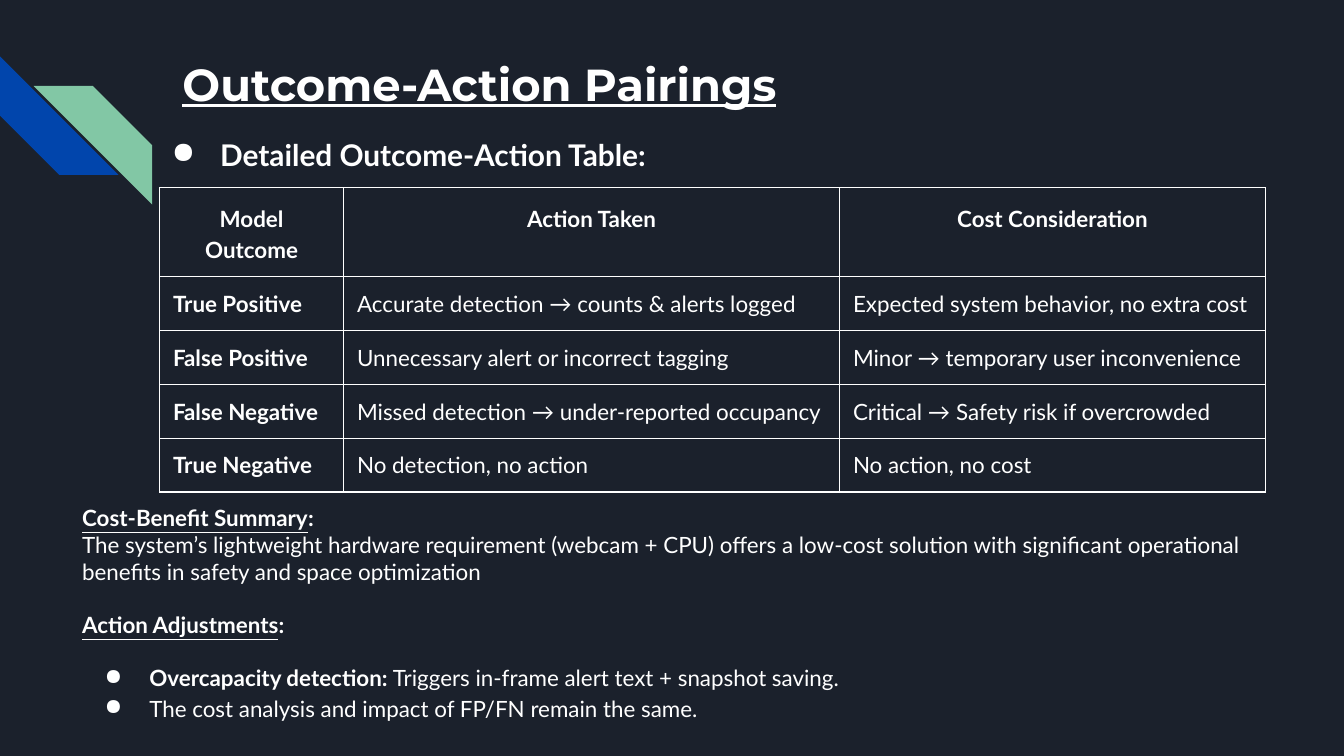
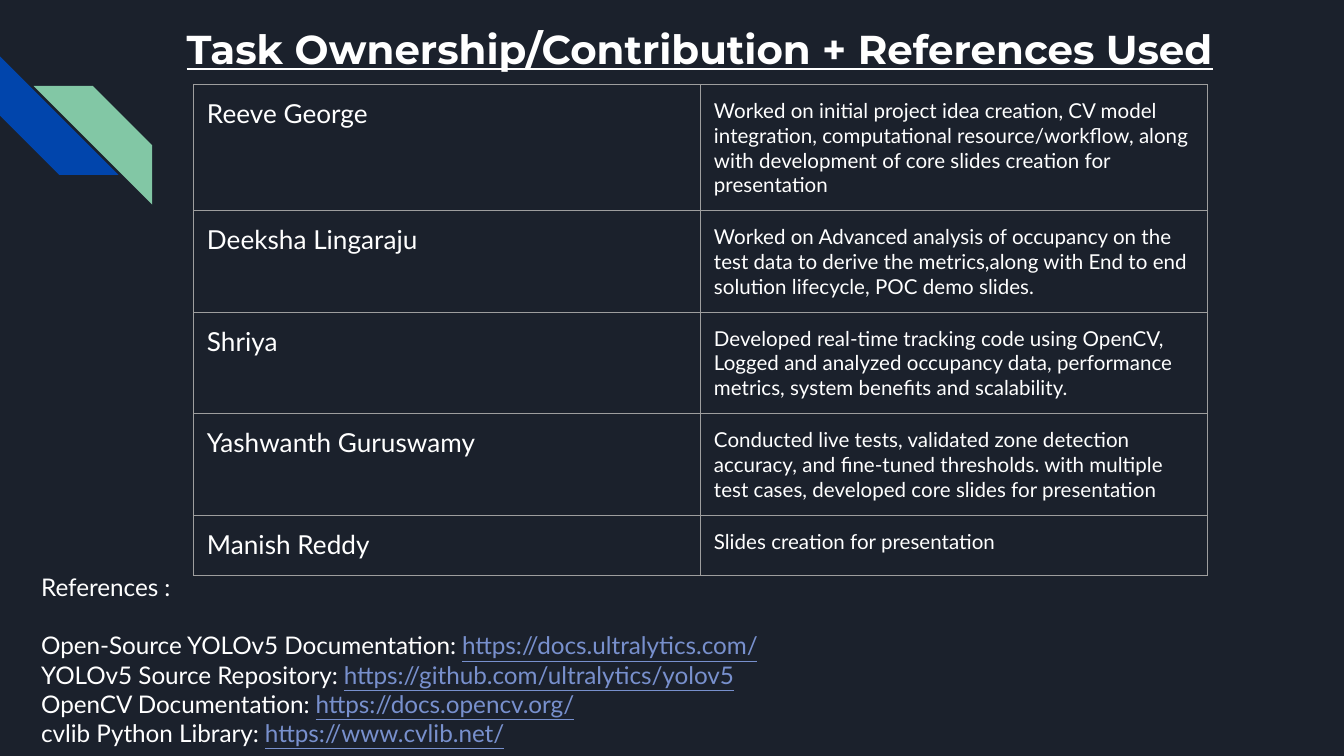
from dataclasses import dataclass

from lxml import etree
from pptx import Presentation
from pptx.dml.color import RGBColor
from pptx.enum.shapes import MSO_SHAPE
from pptx.enum.text import MSO_ANCHOR, PP_ALIGN
from pptx.oxml.ns import qn
from pptx.util import Pt

STRIPE = MSO_SHAPE.DIAGONAL_STRIPE
TOP, MIDDLE = MSO_ANCHOR.TOP, MSO_ANCHOR.MIDDLE
CENTER = PP_ALIGN.CENTER


@dataclass(frozen=True)
class Theme:
    back: str = "1B212C"
    text: str = "FFFFFF"
    blue: str = "0145AC"
    green: str = "82C7A5"
    grid: str = "9E9E9E"
    link: str = "7890CD"
    head: str = "Montserrat"
    body: str = "Lato"
    title: float = 24
    long_title: float = 21.6
    lead: float = 16
    name: float = 14
    refs: float = 13
    base: float = 12
    small: float = 11
    pad: float = 7.2
    loose: float = 1.15


T = Theme()

OUTCOMES = [
    ("Model Outcome", "Action Taken", "Cost Consideration"),
    ("True Positive", "Accurate detection → counts & alerts logged",
     "Expected system behavior, no extra cost"),
    ("False Positive", "Unnecessary alert or incorrect tagging",
     "Minor → temporary user inconvenience"),
    ("False Negative", "Missed detection → under-reported occupancy",
     "Critical → Safety risk if overcrowded"),
    ("True Negative", "No detection, no action", "No action, no cost"),
]

TASKS = [
    ("Reeve George",
     "Worked on initial project idea creation, CV model integration, "
     "computational resource/workflow, along with development of core slides "
     "creation for presentation"),
    ("Deeksha Lingaraju",
     "Worked on Advanced analysis of occupancy on the test data to derive the "
     "metrics,along with End to end solution lifecycle, POC demo slides."),
    ("Shriya",
     "Developed real-time tracking code using OpenCV, Logged and analyzed "
     "occupancy data, performance metrics, system benefits and scalability."),
    ("Yashwanth Guruswamy",
     "Conducted live tests, validated zone detection accuracy, and fine-tuned "
     "thresholds. with multiple test cases, developed core slides for "
     "presentation"),
    ("Manish Reddy", "Slides creation for presentation"),
]

LINKS = [
    ("Open-Source YOLOv5 Documentation: ", "https://docs.ultralytics.com/"),
    ("YOLOv5 Source Repository: ", "https://github.com/ultralytics/yolov5"),
    ("OpenCV Documentation: ", "https://docs.opencv.org/"),
    ("cvlib Python Library: ", "https://www.cvlib.net/"),
]


def color(code):
    return RGBColor.from_string(code)


def add_run(para, text, size, bold=False, line=False, tint=T.text, face=T.body):
    run = para.add_run()
    run.text = text
    font = run.font
    font.name, font.size = face, Pt(size)
    font.bold, font.underline = bold, line
    font.color.rgb = color(tint)


def add_box(slide, left, top, width, height, anchor=TOP):
    frame = slide.shapes.add_textbox(
        Pt(left), Pt(top), Pt(width), Pt(height)).text_frame
    frame.word_wrap = True
    frame.vertical_anchor = anchor
    frame.margin_left = frame.margin_right = Pt(T.pad)
    frame.margin_top = frame.margin_bottom = Pt(T.pad)
    return frame


def next_para(frame, before=0, spacing=None):
    """Return the unused first paragraph of the frame, or a new one."""
    para = frame.paragraphs[0]
    if para.runs:
        para = frame.add_paragraph()
    if before:
        para.space_before = Pt(before)
    if spacing:
        para.line_spacing = spacing
    return para


def add_bullet(para, hang):
    props = para._p.get_or_add_pPr()
    props.set("marL", str(Pt(36)))
    props.set("indent", str(-Pt(hang)))
    paint = etree.SubElement(props, qn("a:buClr"))
    etree.SubElement(paint, qn("a:srgbClr")).set("val", T.text)
    etree.SubElement(props, qn("a:buChar")).set("char", "●")


def add_stripe(slide, left, top, turn, fill):
    shape = slide.shapes.add_shape(STRIPE, Pt(left), Pt(top), Pt(63.5), Pt(63.5))
    shape.rotation = turn
    shape.shadow.inherit = False
    shape.fill.solid()
    shape.fill.fore_color.rgb = color(fill)
    shape.line.fill.background()


def add_slide(deck, title, size, left, top, width):
    slide = deck.slides.add_slide(deck.slide_layouts[6])
    add_stripe(slide, 0, 30.2, 270, T.blue)
    add_stripe(slide, 18, 46.1, 90, T.green)
    para = next_para(add_box(slide, left, top, width, 72))
    add_run(para, title, size, bold=True, line=True, face=T.head)
    return slide


def set_edges(cell, tint):
    props = cell._tc.get_or_add_tcPr()
    for spot, side in enumerate(("a:lnL", "a:lnR", "a:lnT", "a:lnB")):
        edge = etree.Element(qn(side), w=str(Pt(0.75)))
        fill = etree.SubElement(edge, qn("a:solidFill"))
        etree.SubElement(fill, qn("a:srgbClr")).set("val", tint)
        props.insert(spot, edge)


def add_table(slide, left, top, cols, rows, data, edge, style):
    """Draw a grid; style(row, col) gives size, bold and centred."""
    table = slide.shapes.add_table(
        len(rows), len(cols), Pt(left), Pt(top),
        Pt(sum(cols)), Pt(sum(rows))).table
    table.first_row = table.horz_banding = False
    for col, width in zip(table.columns, cols):
        col.width = Pt(width)
    for r, height in enumerate(rows):
        table.rows[r].height = Pt(height)
        for c, text in enumerate(data[r]):
            cell = table.cell(r, c)
            cell.margin_left = cell.margin_right = Pt(T.pad)
            cell.margin_top = cell.margin_bottom = Pt(T.pad)
            cell.fill.background()
            set_edges(cell, edge)
            size, bold, mid = style(r, c)
            para = next_para(cell.text_frame, spacing=T.loose if mid else None)
            if mid:
                para.alignment = CENTER
            add_run(para, text, size, bold)


def add_label(para, text):
    add_run(para, text, T.base, bold=True, line=True)
    add_run(para, ":", T.base, bold=True)


def pair_slide(deck):
    slide = add_slide(deck, "Outcome-Action Pairings", T.title, 90.7, 23, 554.4)
    para = next_para(add_box(slide, 74.9, 56.9, 327.6, 49, MIDDLE),
                     spacing=T.loose)
    add_bullet(para, 26)
    add_run(para, "Detailed Outcome-Action Table:", T.lead, bold=True)

    add_table(slide, 85.5, 100.6, (98.6, 265.7, 228.2), [47.7] + [28.8] * 4,
              OUTCOMES, T.text,
              lambda r, c: (T.base, r == 0 or c == 0, r == 0))

    notes = add_box(slide, 36.9, 262.8, 661.7, 130.3)
    add_label(next_para(notes), "Cost-Benefit Summary")
    add_run(next_para(notes),
            "The system’s lightweight hardware requirement (webcam + CPU) "
            "offers a low-cost solution with significant operational benefits "
            "in safety and space optimization", T.base)
    add_label(next_para(notes, 12, T.loose), "Action Adjustments")
    points = [
        (12, "Overcapacity detection:",
         " Triggers in-frame alert text + snapshot saving."),
        (0, "", "The cost analysis and impact of FP/FN remain the same."),
    ]
    for gap, lead, text in points:
        para = next_para(notes, gap, T.loose)
        add_bullet(para, 24)
        if lead:
            add_run(para, lead, T.base, bold=True)
        add_run(para, text, T.base)


def task_slide(deck):
    slide = add_slide(deck, "Task Ownership/Contribution + References Used",
                      T.long_title, 92.9, 5.8, 594)
    add_table(slide, 103.7, 45.3, (271.6, 271.6),
              (67.5, 54.5, 54.3, 54.5, 32.4), TASKS, T.grid,
              lambda r, c: (T.small if c else T.name, False, False))

    refs = add_box(slide, 15, 299.5, 671.8, 105)
    add_run(next_para(refs), "References :", T.refs)
    for spot, (label, link) in enumerate(LINKS):
        para = next_para(refs, 0 if spot else 15.6)
        add_run(para, label, T.refs)
        add_run(para, link, T.refs, line=True, tint=T.link)


def main():
    deck = Presentation()
    deck.slide_width, deck.slide_height = Pt(720), Pt(405)
    fill = deck.slide_master.background.fill
    fill.solid()
    fill.fore_color.rgb = color(T.back)
    pair_slide(deck)
    task_slide(deck)
    deck.save("out.pptx")


if __name__ == "__main__":
    main()
